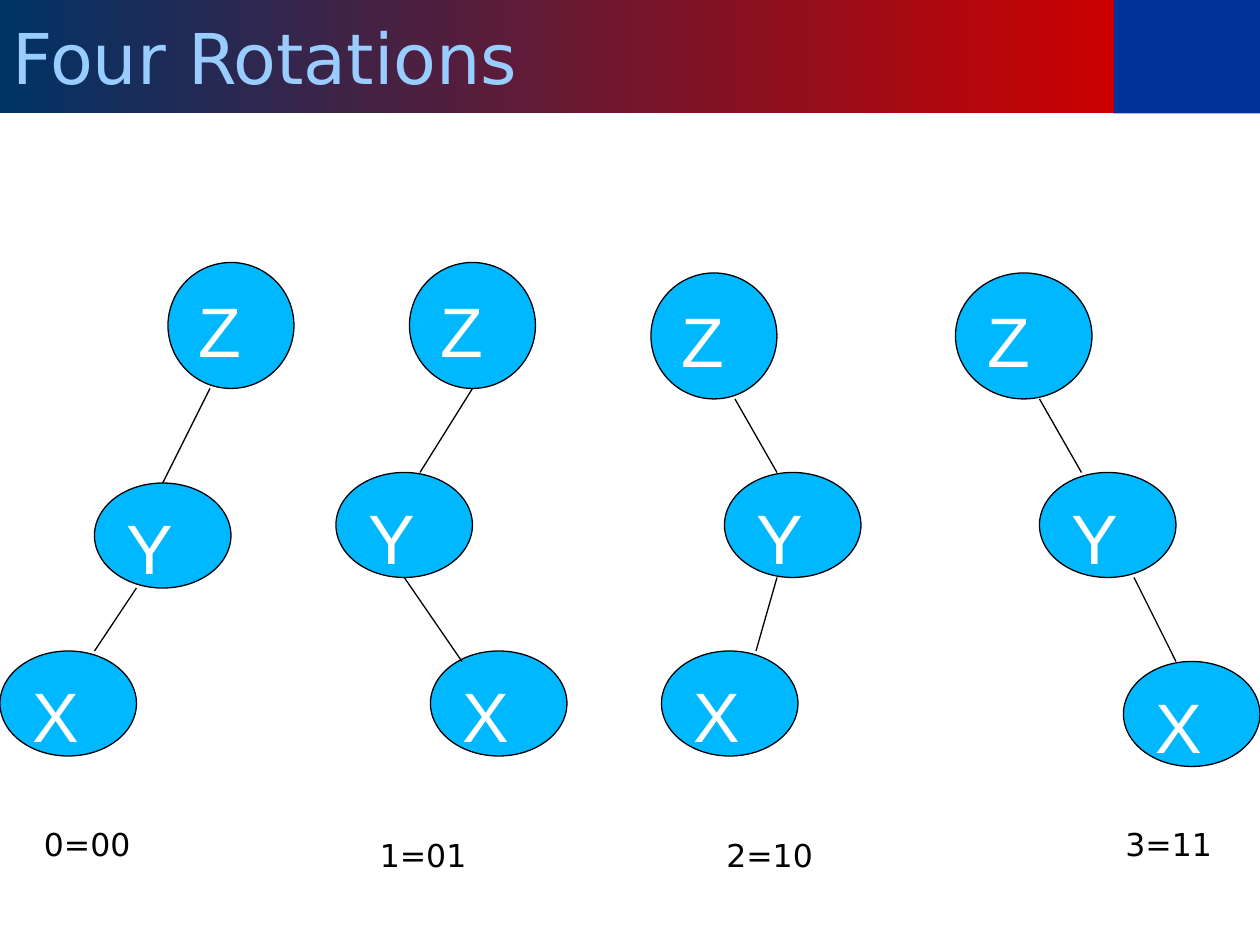
import pptx
import pptx.util
import pptx.dml.color
import pptx.enum.shapes
import pptx.enum.text
import pptx.oxml

Pt = pptx.util.Pt
SHAPE = pptx.enum.shapes.MSO_SHAPE
ANCHOR = pptx.enum.text.MSO_ANCHOR
ALIGN = pptx.enum.text.PP_ALIGN

SIZES = {"Z": (72, 72), "Y": (78, 60), "X": (78, 60)}

# Each tree: node corners, edge ends and the label's left, top, width
TREES = [
    {"nodes": {"Z": (96, 150), "Y": (54, 276), "X": (0, 372)},
     "edges": [(120, 222, 93, 276), (78, 336, 54, 372)],
     "label": ("0=00", 18, 468, 66)},
    {"nodes": {"Z": (234, 150), "Y": (192, 270), "X": (246, 372)},
     "edges": [(270, 222, 240, 270), (231, 330, 264, 378)],
     "label": ("1=01", 210, 474, 66)},
    {"nodes": {"Z": (372, 156), "Y": (414, 270), "X": (378, 372)},
     "edges": [(420, 228, 444, 270), (444, 330, 432, 372)],
     "label": ("2=10", 408, 474, 72)},
    {"nodes": {"Z": (546, 156), "Y": (594, 270), "X": (642, 378)},
     "edges": [(594, 228, 618, 270), (648, 330, 672, 378)],
     "label": ("3=11", 636, 468, 66), "wide": True},
]


def color(code):
    return pptx.dml.color.RGBColor.from_string(code)


def write(shape, text, size, font, code, anchor=ANCHOR.TOP):
    frame = shape.text_frame
    for key, value in {"word_wrap": True, "vertical_anchor": anchor}.items():
        setattr(frame, key, value)
    line = frame.paragraphs[0]
    line.alignment = ALIGN.LEFT
    run = line.add_run()
    run.text = text
    for key, value in {"size": Pt(size), "name": font}.items():
        setattr(run.font, key, value)
    run.font.color.rgb = color(code)


def block(slide, kind, box, fill=None, edge=None):
    shape = slide.shapes.add_shape(kind, *map(Pt, box))
    shape.shadow.inherit = False
    if fill:
        shape.fill.solid()
        shape.fill.fore_color.rgb = color(fill)
    if edge:
        shape.line.color.rgb = color(edge)
        shape.line.width = Pt(0.75)
    else:
        shape.line.fill.background()
    return shape


def header(slide):
    block(slide, SHAPE.RECTANGLE, (636, 0, 84, 64.8), "003399")
    title = block(slide, SHAPE.RECTANGLE, (0, 0, 636.5, 64.8))
    title.fill.gradient()
    title.fill.gradient_angle = 180
    for stop, code in zip(title.fill.gradient_stops, ("CC0000", "003366")):
        stop.color.rgb = color(code)
    write(title, "Four Rotations", 40, "DejaVu Sans", "99CCFF", ANCHOR.MIDDLE)


def node(slide, name, left, top, wide):
    width, height = SIZES[name]
    box = (left, top, 78 if wide else width, height)
    shape = block(slide, SHAPE.OVAL, box, "00B8FF", "000000")
    write(shape, name, 40, "Arial", "FFFFFF")


def edge(slide, ends):
    kind = pptx.enum.shapes.MSO_CONNECTOR.STRAIGHT
    line = slide.shapes.add_connector(kind, *map(Pt, ends))
    line.line.color.rgb = color("000000")
    line.line.width = Pt(0.75)
    props = line._element.spPr
    props.append(pptx.oxml.parse_xml(
        '<a:effectLst xmlns:a="http://schemas.openxmlformats.org/'
        'drawingml/2006/main"/>'))


def label(slide, text, left, top, width):
    box = slide.shapes.add_textbox(*map(Pt, (left, top, width, 29)))
    write(box, text, 18, "DejaVu Sans", "000000")


def tree(slide, data):
    for name, (left, top) in data["nodes"].items():
        node(slide, name, left, top, data.get("wide", False))
    for ends in data["edges"]:
        edge(slide, ends)
    label(slide, *data["label"])


def main():
    deck = pptx.Presentation()
    deck.slide_width, deck.slide_height = Pt(720), Pt(540)
    slide = deck.slides.add_slide(deck.slide_layouts[6])
    header(slide)
    for data in TREES:
        tree(slide, data)
    deck.save("out.pptx")


main()
